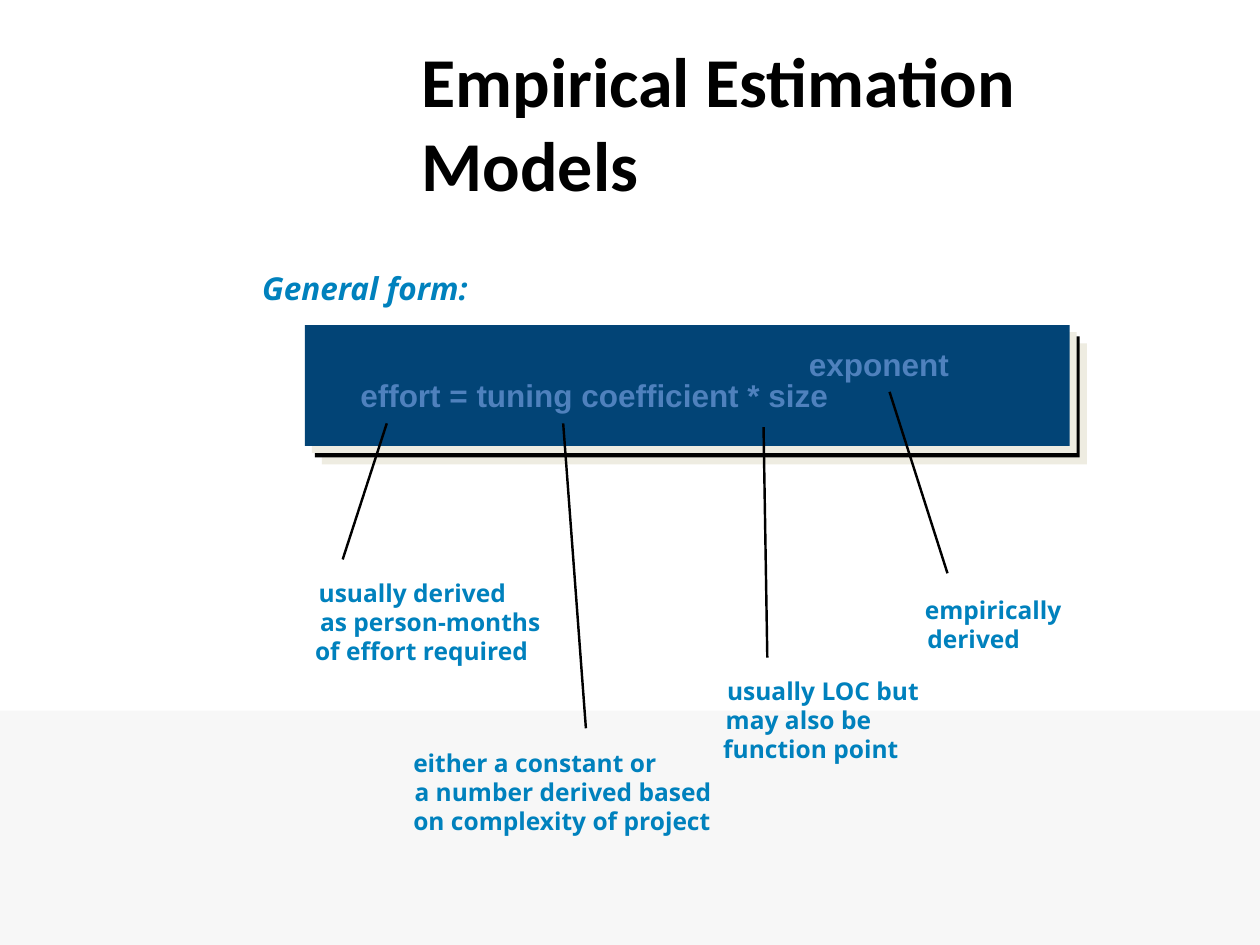
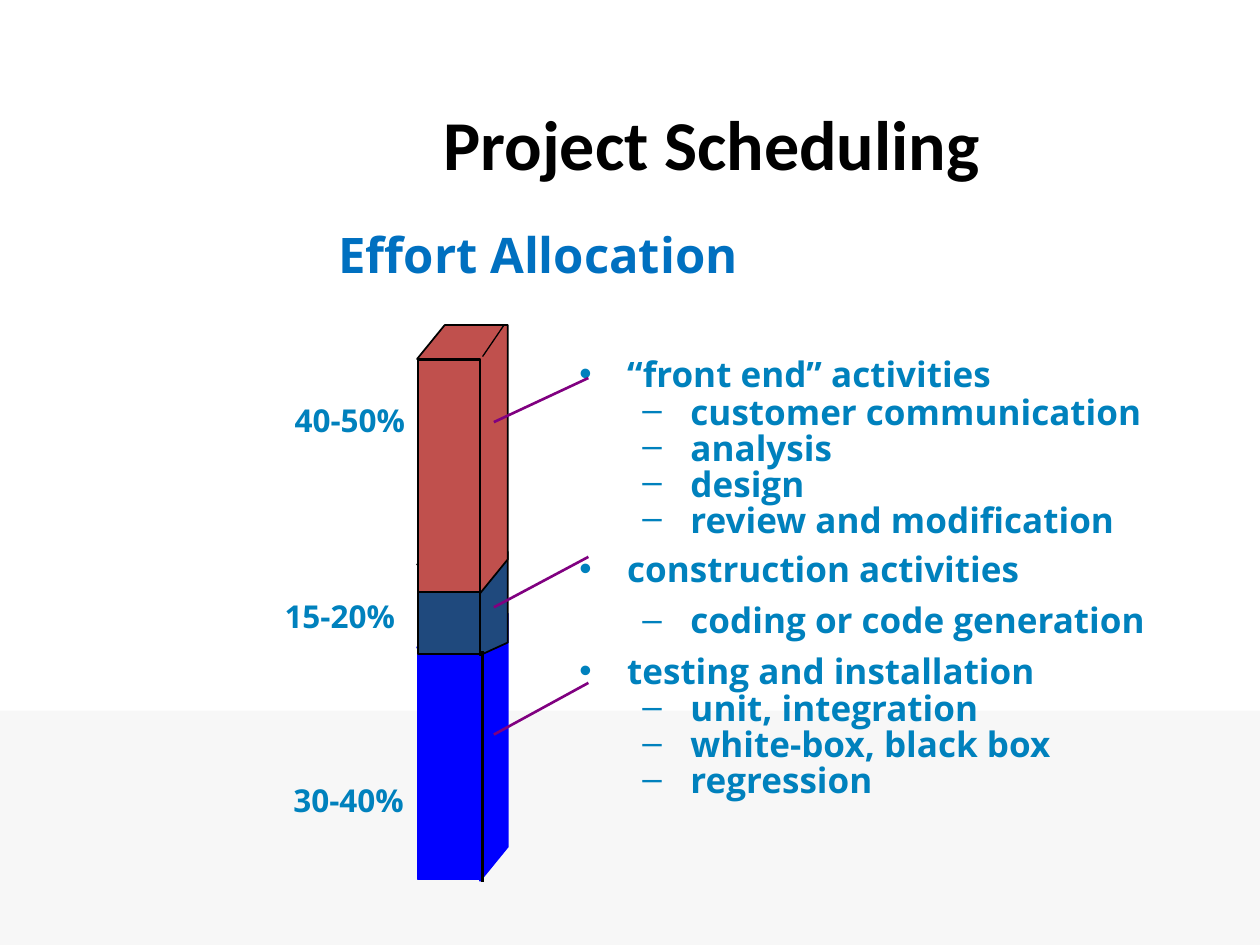
from lxml import etree
from pptx import Presentation
from pptx import util as u
from pptx.dml.color import RGBColor
from pptx.enum import shapes, text
from pptx.oxml.ns import qn

BLACK, BAND, SKY = "000000", "F7F7F7", "0081BD"
STEEL, NAVY, SHADE = "4F81BD", "024476", "EEECE1"
HEADING, POINTER = "0070C0", "800080"
BODY = "Open Sans"
NOTE_PITCH = 0.23
SLACK = 0.05


def rgb(value):
    return RGBColor.from_string(value)


def child(parent, tag, **attrs):
    return etree.SubElement(parent, qn(tag), **attrs)


def paint(sp, fill, line=None, weight=0.99):
    sp.shadow.inherit = False
    sp.fill.solid()
    sp.fill.fore_color.rgb = rgb(fill)
    if line:
        sp.line.color.rgb = rgb(line)
        sp.line.width = u.Pt(weight)
    else:
        sp.line.fill.background()


def rect(s, x, y, w, h, fill, line=None):
    sp = s.shapes.add_shape(shapes.MSO_SHAPE.RECTANGLE,
                            *map(u.Inches, (x, y, w, h)))
    paint(sp, fill, line)
    return sp


def shadow_rect(s, x, y, w, h, fill):
    sp = rect(s, x, y, w, h, fill)
    effects = sp._element.spPr.find(qn("a:effectLst"))
    shadow = child(effects, "a:outerShdw", dist=str(u.Pt(5.7)),
                   dir="2700000", algn="ctr", rotWithShape="0")
    child(shadow, "a:srgbClr", val=SHADE)


def outline(s, points, fill, line):
    pts = [(u.Inches(x), u.Inches(y)) for x, y in points]
    builder = s.shapes.build_freeform(*pts[0])
    builder.add_line_segments(pts[1:], close=True)
    paint(builder.convert_to_shape(), fill, line)


def connect(s, start, end, color, weight):
    sp = s.shapes.add_connector(shapes.MSO_CONNECTOR.STRAIGHT,
                                *map(u.Inches, start + end))
    sp.line.color.rgb = rgb(color)
    sp.line.width = u.Pt(weight)
    child(sp._element.spPr, "a:effectLst")


def style(p, size, color, font, italic=False):
    for r in p.runs:
        r.font.size = u.Pt(size)
        r.font.name = font
        r.font.bold = True
        r.font.italic = italic
        r.font.color.rgb = rgb(color)


def textbox(s, x, y, w, h, wrap=True, inset=True, grow=True):
    sp = s.shapes.add_textbox(*map(u.Inches, (x, y, w, h)))
    tf = sp.text_frame
    tf.word_wrap = wrap
    tf.auto_size = (text.MSO_AUTO_SIZE.SHAPE_TO_FIT_TEXT if grow
                    else text.MSO_AUTO_SIZE.NONE)
    if not inset:
        tf.margin_left = tf.margin_right = 0
        tf.margin_top = tf.margin_bottom = 0
    return tf


def title(s, x, y, w, h, words):
    tf = textbox(s, x, y, w, h)
    tf.text = words
    style(tf.paragraphs[0], 40, BLACK, "Calibri")


def label(s, x, y, w, h, words, size=18, color=SKY, font=BODY,
          italic=False, inset=False):
    tf = textbox(s, x, y, w + SLACK, h, wrap=False, inset=inset)
    tf.text = words
    p = tf.paragraphs[0]
    p.line_spacing = 0.9
    style(p, size, color, font, italic)


def note(s, y, lines):
    for i, (x, w, words) in enumerate(lines):
        label(s, x, y + i * NOTE_PITCH, w, 0.21, words, size=14)


def bullet(p, char, left, hang):
    pPr = p._p.get_or_add_pPr()
    pPr.set("marL", str(u.Inches(left)))
    pPr.set("indent", str(-u.Inches(hang)))
    child(child(pPr, "a:buClr"), "a:srgbClr", val=SKY)
    child(pPr, "a:buFont", typeface="Arial")
    child(pPr, "a:buChar", char=char)


def activity_list(s, activities):
    tf = textbox(s, 4.5, 2.75, 5, 3.92, grow=False)
    rows = []
    for head, spacing, tasks in activities:
        rows.append((0, None, head))
        rows += [(1, spacing, " " + task) for task in tasks]
    for i, (level, spacing, words) in enumerate(rows):
        p = tf.add_paragraph() if i else tf.paragraphs[0]
        p.text = words
        p.level = level
        p.space_before = u.Pt(5)
        if spacing:
            p.line_spacing = spacing
        if level:
            bullet(p, "–", 0.81, 0.31)
        else:
            bullet(p, "•", 0.38, 0.38)
        style(p, 20, SKY, BODY)


def block(s, top, height, depth, fill, line):
    left, right, shift = 3.31, 3.81, 0.22
    face = top + depth
    bottom = face + height
    rect(s, left + 0.01, face + 0.01, 0.49, height - 0.02, fill, line)
    outline(s, [(right, bottom), (right + shift, bottom - depth),
                (right + shift, top), (left + shift, top),
                (left, face), (right, face)], fill, line)


def new_slide(prs):
    s = prs.slides.add_slide(prs.slide_layouts[6])
    rect(s, 0, 5.64, 10, 1.86, BAND)
    return s


def estimation_slide(prs):
    s = new_slide(prs)
    title(s, 3.25, 0.25, 6.5, 1.44, "Empirical Estimation Models")
    shadow_rect(s, 2.5, 2.67, 6.07, 0.96, BLACK)
    shadow_rect(s, 2.42, 2.58, 6.07, 0.96, NAVY)
    label(s, 2.08, 2.17, 1.64, 0.27, "General form:", italic=True)
    label(s, 2.86, 3.02, 3.72, 0.27, "effort = tuning coefficient * size",
          color=STEEL, font="Arial")
    label(s, 6.42, 2.77, 1.11, 0.27, "exponent", color=STEEL, font="Arial")
    for start, end in [((3.07, 3.36), (2.72, 4.44)),
                       ((4.47, 3.36), (4.65, 5.78)),
                       ((6.06, 3.39), (6.09, 5.22)),
                       ((7.06, 3.11), (7.52, 4.55))]:
        connect(s, start, end, BLACK, 1.39)
    note(s, 4.61, [(2.53, 1.49, "usually derived"),
                   (2.54, 1.75, "as person-months"),
                   (2.5, 1.7, "of effort required")])
    note(s, 5.96, [(3.28, 1.93, "either a constant or"),
                   (3.29, 2.41, "a number derived based "),
                   (3.28, 2.37, "on complexity of project")])
    note(s, 5.39, [(5.77, 1.53, "usually LOC but"),
                   (5.76, 1.16, "may also be"),
                   (5.74, 1.39, "function point")])
    note(s, 4.75, [(7.34, 1.09, "empirically"),
                   (7.36, 0.74, "derived")])


def scheduling_slide(prs):
    s = new_slide(prs)
    title(s, 3.42, 0.75, 6.08, 0.77, "Project Scheduling")
    tf = textbox(s, 1.42, 1.67, 5.7, 0.69, grow=False)
    tf.vertical_anchor = text.MSO_ANCHOR.MIDDLE
    tf.text = "Effort Allocation"
    tf.paragraphs[0].alignment = text.PP_ALIGN.CENTER
    style(tf.paragraphs[0], 28, HEADING, BODY)
    activity_list(s, [
        ("“front end” activities", 0.65,
         ["customer communication", "analysis", "design",
          "review and modification"]),
        ("construction activities", None, ["coding or code generation"]),
        ("testing and installation", 0.65,
         ["unit, integration", "white-box, black box", "regression "]),
    ])
    block(s, 4.87, 1.85, 0.27, "0000FF", "0000FF")
    block(s, 4.38, 0.72, 0.1, "1F497D", BLACK)
    block(s, 2.58, 1.86, 0.27, "C0504D", BLACK)
    for x, y, share in [(2.24, 3.17, "40-50%"), (2.23, 6.18, "30-40%"),
                        (2.16, 4.72, "15-20%")]:
        label(s, x, y, 1.07, 0.37, share, inset=True)
    for y1, y2 in [(3, 3.35), (4.42, 4.82), (5.42, 5.83)]:
        connect(s, (4.67, y1), (3.92, y2), POINTER, 1.5)
    connect(s, (3.83, 5.17), (3.83, 7), BLACK, 1.5)
    connect(s, (3.83, 2.83), (4, 2.58), BLACK, 0.74)


def main():
    prs = Presentation()
    prs.slide_width = u.Inches(10)
    prs.slide_height = u.Inches(7.5)
    estimation_slide(prs)
    scheduling_slide(prs)
    prs.save("out.pptx")


main()
